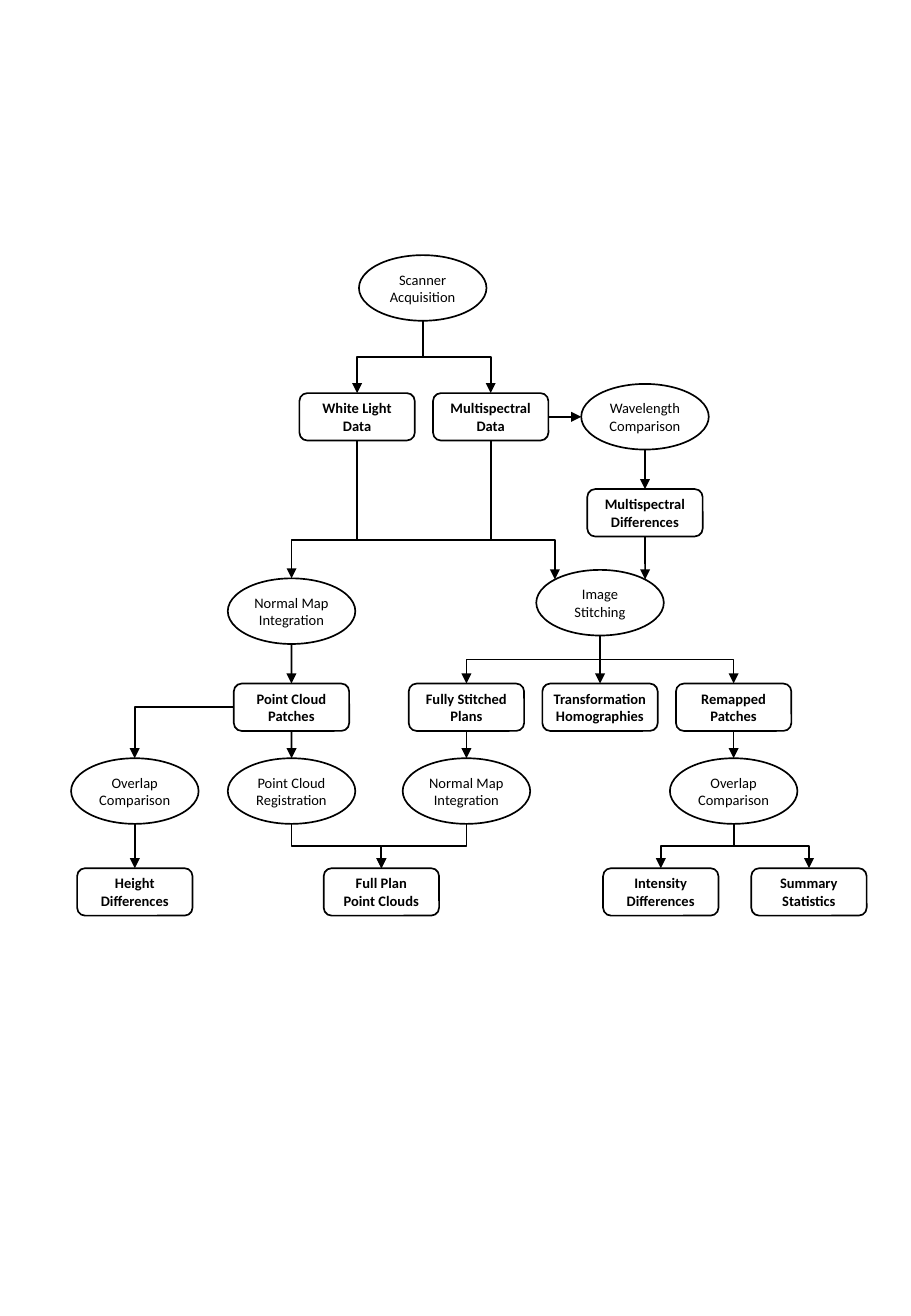
from lxml import etree
from pptx import Presentation
from pptx import util as u
from pptx.dml.color import RGBColor
from pptx.enum import shapes, text
from pptx.oxml.ns import qn

BLACK = RGBColor.from_string("000000")
WHITE = RGBColor.from_string("FFFFFF")
STRAIGHT, ELBOW = shapes.MSO_CONNECTOR.STRAIGHT, shapes.MSO_CONNECTOR.ELBOW
BUS_Y = u.Inches(4.44)

# Side: x and y offset from the centre, connection index on a box and on an ellipse
SIDES = {
    "top": (0, -0.5, 0, 0),
    "left": (-0.5, 0, 1, 2),
    "bottom": (0, 0.5, 2, 4),
    "right": (0.5, 0, 3, 6),
    "top left": (-0.354, -0.354, None, 1),
    "top right": (0.354, -0.354, None, 7),
}

# Key: label, centre x, centre y
PROCESSES = {
    "acquisition": ("Scanner\vAcquisition", 3.48, 2.37),
    "wavelength": ("Wavelength Comparison", 5.31, 3.43),
    "stitching": ("Image Stitching", 4.94, 4.96),
    "patch integration": ("Normal Map Integration", 2.4, 5.03),
    "cloud overlap": ("Overlap Comparison", 1.11, 6.51),
    "registration": ("Point Cloud Registration", 2.4, 6.51),
    "plan integration": ("Normal Map Integration", 3.84, 6.51),
    "image overlap": ("Overlap Comparison", 6.04, 6.51),
}
RESULTS = {
    "white light": ("White Light\vData", 2.94, 3.43),
    "multispectral": ("Multispectral\vData", 4.04, 3.43),
    "spectral differences": ("Multispectral\vDifferences", 5.31, 4.22),
    "cloud patches": ("Point Cloud Patches", 2.4, 5.82),
    "plans": ("Fully Stitched Plans", 3.84, 5.82),
    "homographies": ("Transformation\vHomographies", 4.94, 5.82),
    "remapped": ("Remapped\nPatches", 6.04, 5.82),
    "height": ("Height Differences", 1.11, 7.34),
    "full plan": ("Full Plan\vPoint Clouds", 3.14, 7.34),
    "intensity": ("Intensity Differences", 5.44, 7.34),
    "summary": ("Summary Statistics", 6.66, 7.34),
}

prs = Presentation()
prs.slide_width, prs.slide_height = u.Inches(7.5), u.Inches(10.83)
slide = prs.slides.add_slide(prs.slide_layouts[6])
steps = {}


def site(key, side):
    """Shape id, connection index and position of one side of a step."""
    step = steps[key]
    dx, dy, box_index, ellipse_index = SIDES[side]
    x = round(step.left + step.width * (0.5 + dx))
    y = round(step.top + step.height * (0.5 + dy))
    return step.shape_id, ellipse_index if key in PROCESSES else box_index, x, y


def connect(kind, start, end, arrows=("tailEnd",)):
    """Black connector between two sites."""
    x1, y1, x2, y2 = *start[2:], *end[2:]
    link = slide.shapes.add_connector(kind, x1, y1, x2, y2)
    link.line.color.rgb = BLACK
    link.line.width = u.Pt(1)
    properties = link._element.spPr
    for arrow in arrows:
        etree.SubElement(properties.find(qn("a:ln")), qn("a:" + arrow), type="triangle")
    etree.SubElement(properties, qn("a:effectLst"))
    glue = link._element.nvCxnSpPr.cNvCxnSpPr
    for tag, (shape_id, index, *_) in (("a:stCxn", start), ("a:endCxn", end)):
        if shape_id is not None:
            etree.SubElement(glue, qn(tag), id=str(shape_id), idx=str(index))
    return link


# Process ellipses and result boxes
for group, preset, width, height, bold in (
    (PROCESSES, shapes.MSO_SHAPE.OVAL, 1.05, 0.54, False),
    (RESULTS, shapes.MSO_SHAPE.ROUNDED_RECTANGLE, 0.95, 0.39, True),
):
    for key, (label, x, y) in group.items():
        step = slide.shapes.add_shape(
            preset, u.Inches(x - width / 2), u.Inches(y - height / 2),
            u.Inches(width), u.Inches(height))
        step.shadow.inherit = False
        step.fill.solid()
        step.fill.fore_color.rgb = WHITE
        step.line.color.rgb = BLACK
        step.line.width = u.Pt(1)
        frame = step.text_frame
        frame.word_wrap = True
        frame.vertical_anchor = text.MSO_ANCHOR.MIDDLE
        frame.margin_left = frame.margin_right = u.Inches(0.05)
        frame.margin_top = frame.margin_bottom = u.Inches(0.03)
        frame.text = label
        for paragraph in frame.paragraphs:
            paragraph.alignment = text.PP_ALIGN.CENTER
            for run in paragraph.runs:
                run.font.name = "Calibri"
                run.font.size = u.Pt(8.6)
                run.font.bold = bold
                run.font.color.rgb = BLACK
        steps[key] = step

# Straight arrows
for source, target, target_side in (
    ("wavelength", "spectral differences", "top"),
    ("spectral differences", "stitching", "top right"),
    ("patch integration", "cloud patches", "top"),
    ("cloud patches", "registration", "top"),
    ("cloud overlap", "height", "top"),
    ("stitching", "homographies", "top"),
    ("plans", "plan integration", "top"),
    ("remapped", "image overlap", "top"),
):
    connect(STRAIGHT, site(source, "bottom"), site(target, target_side))
connect(STRAIGHT, site("multispectral", "right"), site("wavelength", "left"))

# Data lines down to the shared bus
for key in ("white light", "multispectral"):
    start = site(key, "bottom")
    connect(STRAIGHT, start, (None, None, start[2], BUS_Y), arrows=())

# Branches that leave and arrive vertically; the first one is the bus
for source, source_side, target, target_side in (
    ("patch integration", "top", "stitching", "top left"),
    ("acquisition", "bottom", "white light", "top"),
    ("acquisition", "bottom", "multispectral", "top"),
    ("stitching", "bottom", "plans", "top"),
    ("stitching", "bottom", "remapped", "top"),
    ("registration", "bottom", "full plan", "top"),
    ("plan integration", "bottom", "full plan", "top"),
    ("image overlap", "bottom", "intensity", "top"),
    ("image overlap", "bottom", "summary", "top"),
):
    start, end = site(source, source_side), site(target, target_side)
    is_bus = source_side == "top"
    branch = connect(ELBOW, start, end, ("headEnd", "tailEnd") if is_bus else ("tailEnd",))
    (x1, y1), (x2, y2) = start[2:], end[2:]
    # Turn the elbow a quarter so that its first leg is vertical
    branch.width, branch.height = y2 - y1, abs(x2 - x1)
    branch.left = (x1 + x2 - branch.width) // 2
    branch.top = (y1 + y2 - branch.height) // 2
    frame = branch._element.spPr.find(qn("a:xfrm"))
    frame.set("rot", str((270 if x2 > x1 else 90) * 60000))
    frame.set("flipH", "1" if x2 > x1 else "0")
    if is_bus:
        bend = round((BUS_Y - y1) / (y2 - y1) * 100000)
        guides = branch._element.spPr.find(qn("a:prstGeom")).find(qn("a:avLst"))
        etree.SubElement(guides, qn("a:gd"), name="adj1", fmla=f"val {bend}")

# Single bend from the point cloud patches to their overlap comparison
corner = connect(ELBOW, site("cloud patches", "left"), site("cloud overlap", "top"))
corner._element.spPr.find(qn("a:prstGeom")).set("prst", "bentConnector2")

prs.save("out.pptx")
